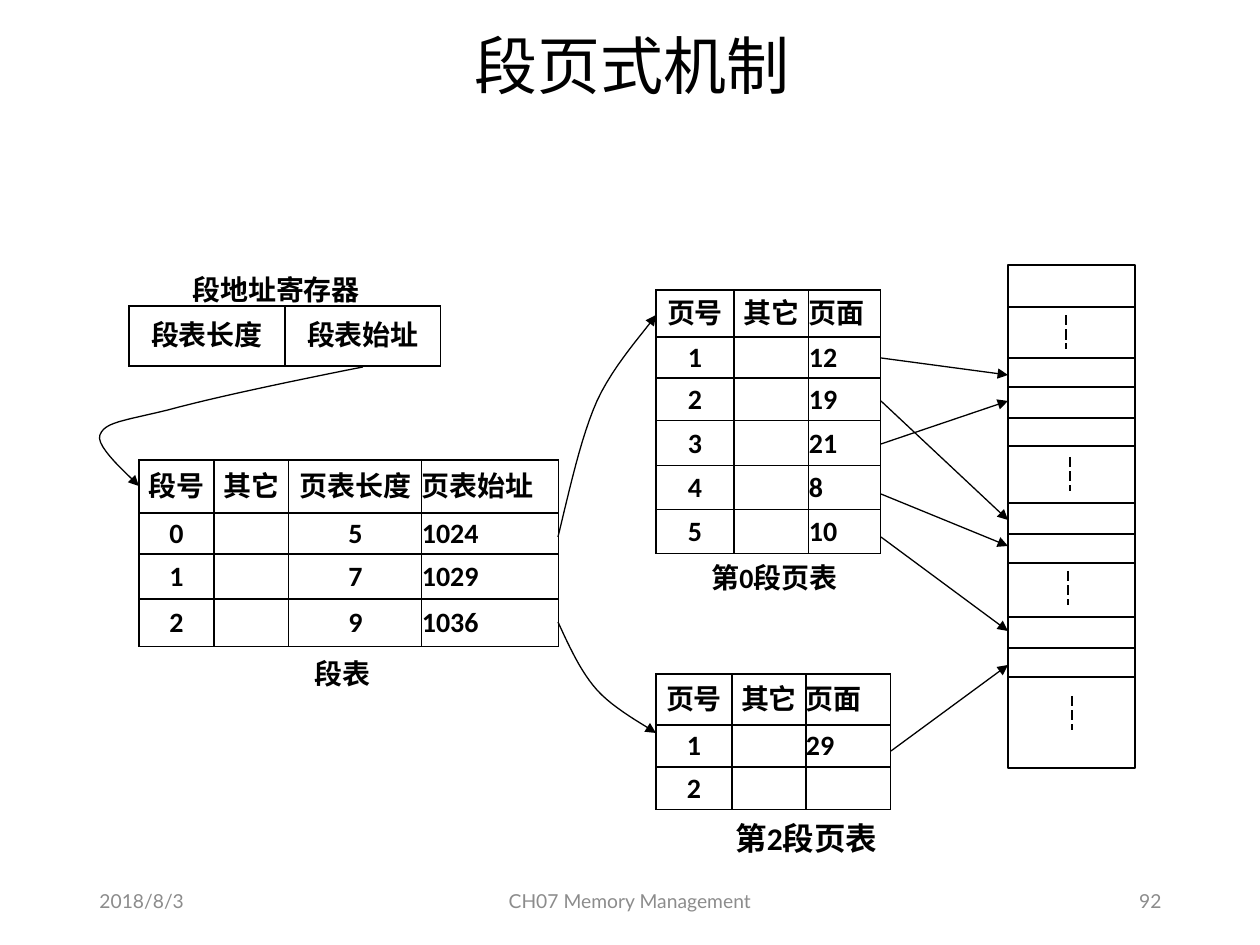
from lxml.etree import SubElement
from pptx import Presentation
from pptx.dml.color import RGBColor
from pptx.enum.dml import MSO_LINE_DASH_STYLE as Dash
from pptx.enum.shapes import MSO_CONNECTOR as Link, MSO_SHAPE as Shape
from pptx.enum.text import MSO_ANCHOR as Anchor, MSO_AUTO_SIZE as AutoSize, PP_ALIGN as Align
from pptx.oxml.ns import qn
from pptx.util import Emu, Pt

BLACK = RGBColor(0, 0, 0)
GRAY = RGBColor(140, 140, 140)
PX_PER_INCH = 126
ALIGNS = {"l": Align.LEFT, "c": Align.CENTER, "r": Align.RIGHT}


def px(value):
    """Turn px into EMU."""
    return Emu(round(value * 914400 / PX_PER_INCH))


def assign(target, values):
    """Set each attribute of the target from a dict."""
    for name, value in values.items():
        setattr(target, name, value)


def bezier(p0, p1, p2, p3, steps=12):
    """List the points of a cubic curve after its start."""
    points = []
    for step in range(1, steps + 1):
        t = step / steps
        u = 1 - t
        points.append(tuple(px(u**3 * a + 3 * u * u * t * b + 3 * u * t * t * c + t**3 * d)
                            for a, b, c, d in zip(p0, p1, p2, p3)))
    return points


class Sketch:
    """Hold the diagram style and the current slide."""

    label = {"name": "Calibri", "size": Pt(16), "bold": True}
    line_width = Pt(0.75)

    def __init__(self, page):
        """Keep the slide to draw on."""
        self.page = page

    def letter(self, frame, text, align="l", color=BLACK, **changes):
        """Put one formatted paragraph into a text frame."""
        para = frame.paragraphs[0]
        para.alignment = ALIGNS[align]
        span = para.add_run()
        span.text = text
        font = {**self.label, **changes}
        assign(span.font, font)
        span.font.color.rgb = color
        SubElement(span._r.get_or_add_rPr(), qn("a:ea")).set("typeface", font["name"])
        return para

    def title(self, text):
        """Place the slide title."""
        box = self.page.shapes.title
        assign(box, {"left": px(89), "top": px(21), "width": px(1086), "height": px(96)})
        box.text_frame.vertical_anchor = Anchor.MIDDLE
        para = self.letter(box.text_frame, text, "c", name="Noto Sans CJK SC", size=Pt(36), bold=False)
        para.line_spacing = 0.9

    def text(self, area, text, align="l", frame=None, **font):
        """Add a wrapped text box."""
        box = self.page.shapes.add_textbox(*map(px, area))
        assign(box.text_frame, {"word_wrap": True, **(frame or {})})
        self.letter(box.text_frame, text, align, **font)

    def caption(self, area, text, **font):
        """Add a bold label that grows with its text."""
        self.text(area, text, frame={"auto_size": AutoSize.SHAPE_TO_FIT_TEXT}, **font)

    def footer(self, left, width, text, align):
        """Add one part of the footer."""
        self.text((left, 876, width, 50), text, align, {"vertical_anchor": Anchor.MIDDLE},
                  color=GRAY, name="Lato", size=Pt(11), bold=False)

    def table(self, left, top, widths, heights, aligns, rows):
        """Add a plain ruled table."""
        area = (left, top, sum(widths), sum(heights))
        grid = self.page.shapes.add_table(len(rows), len(widths), *map(px, area)).table
        assign(grid, {"first_row": False, "horz_banding": False})
        for column, width in zip(grid.columns, widths):
            column.width = px(width)
        for row, height, texts in zip(grid.rows, heights, rows):
            row.height = px(height)
            for cell, align, text in zip(row.cells, aligns, texts):
                self.rule(cell)
                if text:
                    self.letter(cell.text_frame, text, align)

    def rule(self, cell):
        """Give a cell thin borders, no fill and no margins."""
        for side in ("lnL", "lnR", "lnT", "lnB"):
            border = SubElement(cell._tc.get_or_add_tcPr(), qn(f"a:{side}"), w=str(int(self.line_width)))
            fill = SubElement(border, qn("a:solidFill"))
            SubElement(fill, qn("a:srgbClr"), val=str(BLACK))
        cell.fill.background()
        assign(cell, {"vertical_anchor": Anchor.MIDDLE, "margin_left": 0, "margin_right": 0,
                      "margin_top": 0, "margin_bottom": 0})

    def stroke(self, shape, arrow=False):
        """Give a shape the thin black line."""
        shape.line.width = self.line_width
        shape.line.color.rgb = BLACK
        if arrow:
            SubElement(shape.line._get_or_add_ln(), qn("a:tailEnd"), type="triangle")

    def rect(self, area):
        """Add an unfilled rectangle."""
        box = self.page.shapes.add_shape(Shape.RECTANGLE, *map(px, area))
        box.shadow.inherit = False
        box.fill.background()
        self.stroke(box)

    def line(self, start, end, arrow=False, dash=None):
        """Add a straight line or arrow."""
        link = self.page.shapes.add_connector(Link.STRAIGHT, *map(px, (*start, *end)))
        self.stroke(link, arrow)
        if dash:
            link.line.dash_style = dash
        SubElement(link._element.spPr, qn("a:effectLst"))

    def curve(self, start, *pieces):
        """Add a curved arrow made of cubic pieces."""
        builder = self.page.shapes.build_freeform(*map(px, start))
        for piece in pieces:
            builder.add_line_segments(bezier(start, *piece), close=False)
            start = piece[-1]
        bend = builder.convert_to_shape()
        bend.shadow.inherit = False
        bend.fill.background()
        self.stroke(bend, arrow=True)


def main():
    """Build the segmented paging slide."""
    deck = Presentation()
    assign(deck, {"slide_width": px(1260), "slide_height": px(945)})
    sketch = Sketch(deck.slides.add_slide(deck.slide_layouts[5]))
    sketch.title("段页式机制")
    sketch.footer(87, 284, "2018/8/3", "l")
    sketch.footer(417, 426, "CH07 Memory Management", "c")
    sketch.footer(890, 284, "92", "r")

    sketch.table(129, 306, [156, 156], [60], "cc", [["段表长度", "段表始址"]])
    sketch.table(139, 460, [75, 75, 133, 137], [53, 41, 45, 48], "cccl", [
        ["段号", "其它", "页表长度", "页表始址"],
        ["0", "", "5", "1024"],
        ["1", "", "7", "1029"],
        ["2", "", "9", "1036"],
    ])
    page_header = ["页号", "其它", "页面"]
    frames = ["12", "19", "21", "8", "10"]
    sketch.table(656, 290, [78, 75, 72], [47, 41, 43, 45, 44, 44], "ccl",
                 [page_header] + [[str(number), "", frame] for number, frame in enumerate(frames, 1)])
    sketch.table(656, 674, [76, 74, 85], [51, 42, 43], "ccl",
                 [page_header, ["1", "", "29"], ["2", "", ""]])

    sketch.caption((180, 266, 214, 47), "段地址寄存器")
    sketch.caption((302, 650, 97, 47), "段表")
    sketch.caption((699, 554, 156, 47), "第0段页表")
    sketch.caption((723, 813, 179, 50), "第2段页表", size=Pt(18))

    memory_left, memory_right = 1008, 1135
    sketch.rect((memory_left, 265, memory_right - memory_left, 503))
    for y in (307, 358, 387, 418, 446, 503, 534, 563, 617, 648, 677):
        sketch.line((memory_left, y), (memory_right, y))
    for x, y in ((1066, 315), (1070, 457), (1068, 571), (1072, 696)):
        sketch.line((x, y), (x, y + 34), dash=Dash.LONG_DASH)

    sketch.curve((363, 367), [(287, 382), (212, 398), (168, 410)],
                 [(123, 421), (105, 422), (100, 435)], [(95, 447), (132, 478), (139, 486)])
    sketch.curve((558, 537), [(570, 488), (581, 437), (597, 401)],
                 [(614, 364), (646, 330), (656, 315)])
    sketch.curve((558, 622), [(570, 648), (581, 672), (597, 690)],
                 [(614, 709), (646, 726), (656, 733)])
    for x, y, target in ((881, 358, 375), (881, 401, 520), (881, 444, 401),
                         (881, 494, 546), (881, 537, 631), (891, 751, 665)):
        sketch.line((x, y), (memory_left, target), arrow=True)
    deck.save("out.pptx")


if __name__ == "__main__":
    main()
